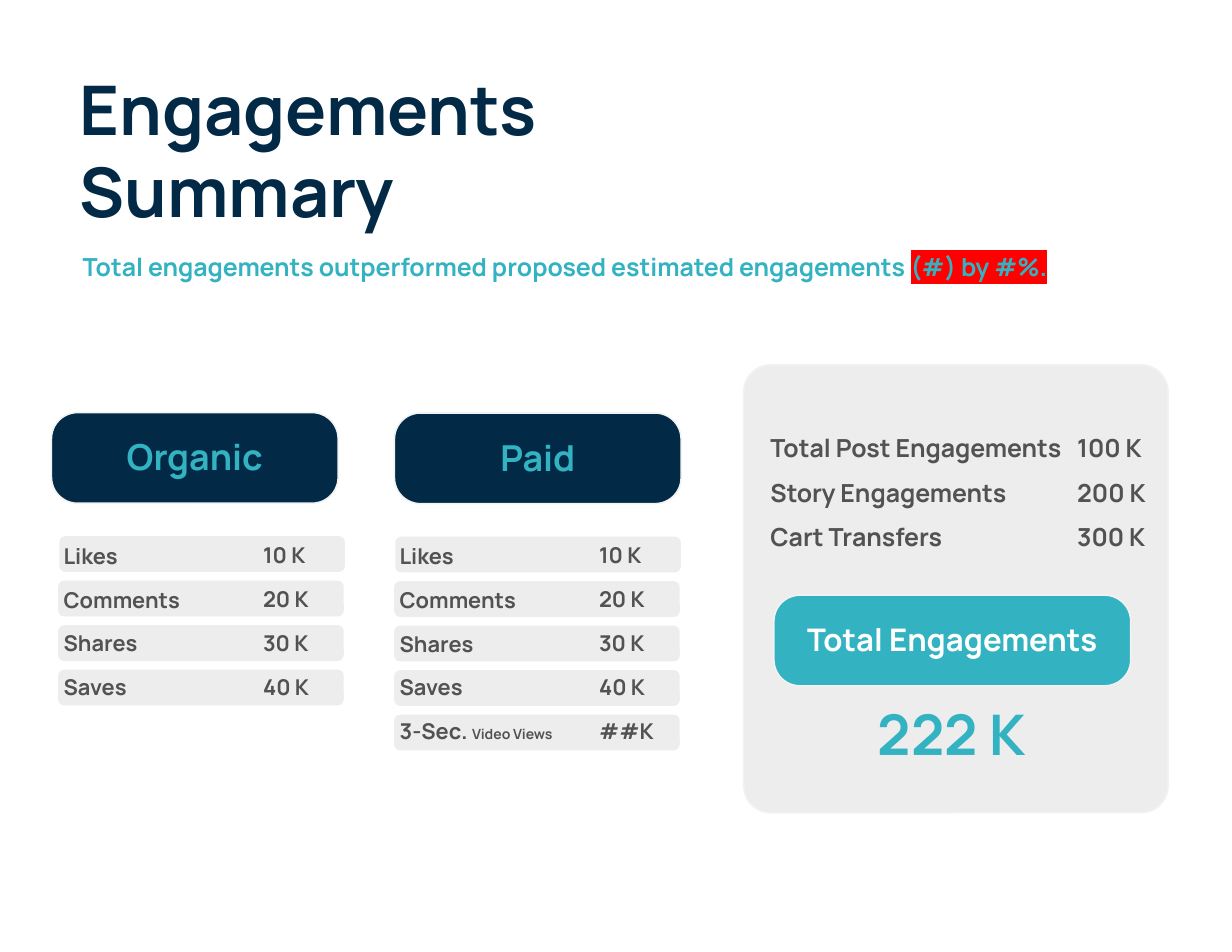
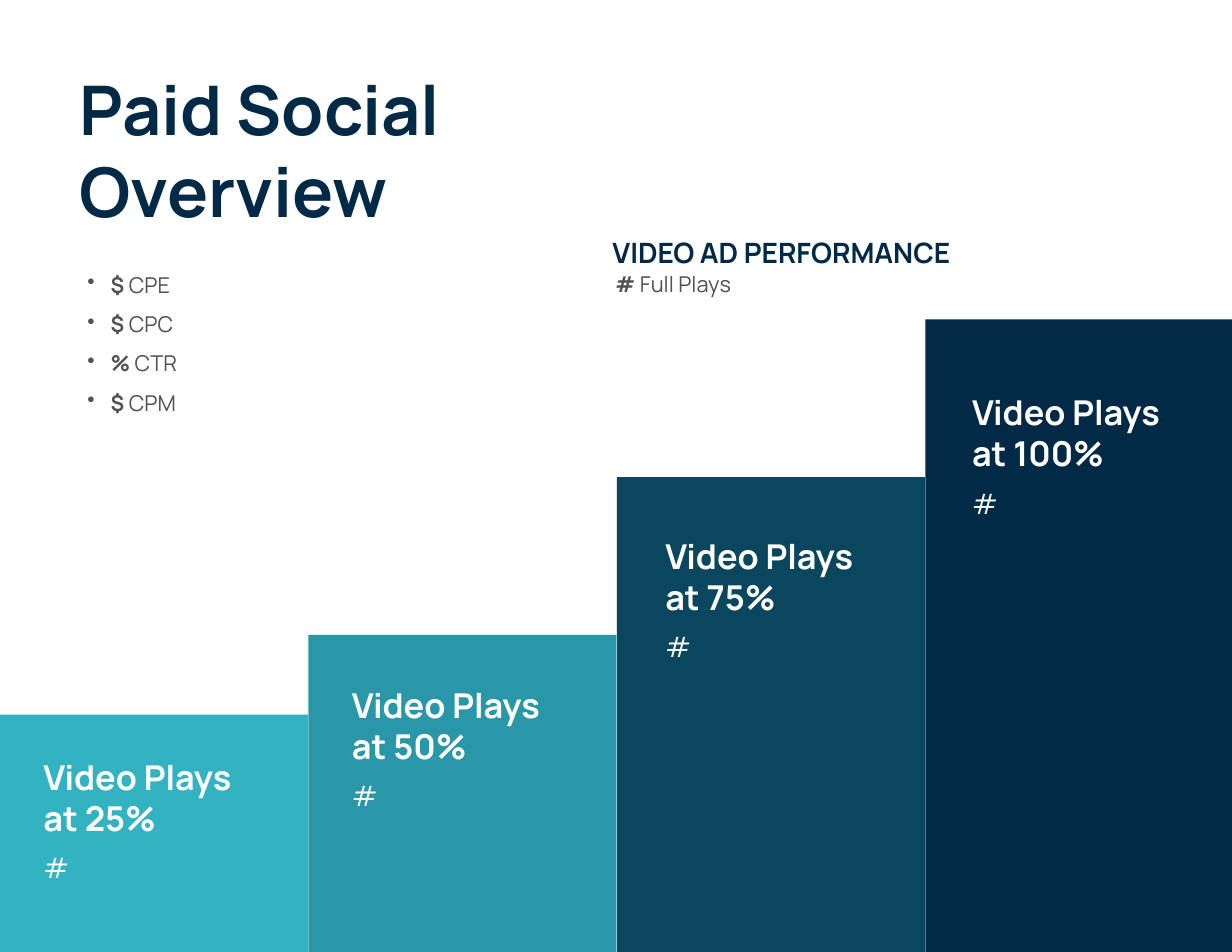
from lxml import etree
from pptx import Presentation
from pptx import util as u
from pptx.dml.color import RGBColor
from pptx.enum import shapes, text
from pptx.oxml import ns

HUES = {
    "navy": "022A47", "deep": "0A475F", "sea": "2997A8", "teal": "33B2C1",
    "gray": "525252", "pale": "EDEDED", "edge": "F2F2F2", "white": "FFFFFF",
    "red": "FF0000",
}
FONT = "Manrope"
KIND = shapes.MSO_SHAPE
MID = text.PP_ALIGN.CENTER


def hue(name):
    return RGBColor.from_string(HUES[name])


class Deck:
    def __init__(self):
        self.prs = Presentation()
        self.prs.slide_width, self.prs.slide_height = u.Pt(792), u.Pt(612)
        self.slide = None

    def page(self, title):
        self.slide = self.prs.slides.add_slide(self.prs.slide_layouts[6])
        self.text(44, 39.6, 435, 114, title, 44, "navy")

    def box(self, x, y, w, h, fill, edge=None, bend=None, kind=KIND.ROUNDED_RECTANGLE):
        shape = self.slide.shapes.add_shape(kind, u.Pt(x), u.Pt(y), u.Pt(w), u.Pt(h))
        shape.shadow.inherit = False
        shape.fill.solid()
        shape.fill.fore_color.rgb = hue(fill)
        if bend:
            shape.adjustments[0] = bend
        if edge:
            shape.line.color.rgb = hue(edge)
            shape.line.width = u.Pt(1)
        else:
            shape.line.fill.background()

    def text(self, x, y, w, h, lines, size, color, bold=True, align=None,
             space=None, gaps=None, inset=True, bullet=False):
        """Each line is a string or a list of (words, changes) runs."""
        box = self.slide.shapes.add_textbox(u.Pt(x), u.Pt(y), u.Pt(w), u.Pt(h))
        frame = box.text_frame
        frame.word_wrap = True
        frame.auto_size = text.MSO_AUTO_SIZE.SHAPE_TO_FIT_TEXT
        if not inset:
            frame.margin_left = frame.margin_right = 0
            frame.margin_top = frame.margin_bottom = 0
        for i, line in enumerate(lines):
            para = frame.add_paragraph() if i else frame.paragraphs[0]
            para.alignment = align
            if space:
                para.line_spacing = space
            if gaps:
                para.space_before, para.space_after = map(u.Pt, gaps)
            if bullet:
                self.bullet(para)
            for words, changes in [(line, {})] if isinstance(line, str) else line:
                self.run(para, words, **{"size": size, "color": color, "bold": bold, **changes})

    def run(self, para, words, size, color, bold, mark=None):
        run = para.add_run()
        run.text = words
        font = run.font
        font.name, font.size, font.bold = FONT, u.Pt(size), bold
        font.color.rgb = hue(color)
        if mark:
            light = etree.Element(ns.qn("a:highlight"))
            etree.SubElement(light, ns.qn("a:srgbClr"), val=HUES[mark])
            font.fill  # the highlight must follow the fill
            run._r.rPr.find(ns.qn("a:solidFill")).addnext(light)

    def bullet(self, para):
        props = para._p.get_or_add_pPr()
        props.set("marL", str(u.Pt(15)))
        props.set("indent", str(u.Pt(-15)))
        etree.SubElement(props, ns.qn("a:buChar"), char="•")

    def pill(self, x, y, w, fill, words, size, color, drop):
        self.box(x, y, w, 58.3, fill, "edge", 0.288)
        self.text(x + 12, y + drop, w - 24, 36, [words], size, color, align=MID)

    def column(self, x, head, top, name, rows):
        """A pill above grey bars, with labels left and counts right."""
        self.pill(head, top, 184.3, "navy", name, 23, "teal", 11)
        for i in range(len(rows)):
            nudge = 0 if i else 0.7
            self.box(x + 3.6 + nudge, top + 79.5 + i * 28.6, 183.6, 23, "pale")
        labels, counts = zip(*rows)
        tall = len(rows) * 28.6
        style = {"size": 14, "color": "gray", "gaps": (5.2, 6.2)}
        self.text(x, 345.2, 143, tall, labels, **style)
        self.text(x + 128.2, 344.9, 71, tall, counts, **style)

    def step(self, i, top, fill, x, y, share):
        self.box(i * 198.3, top, 198, 612 - top, fill, kind=KIND.RECTANGLE)
        self.text(x, y, 153.4, 60.5, ["Video Plays", f"at {share}%"], 22, "white")
        self.text(x, y + 60.7, 153.4, 29, ["#"], 18, "white", bold=False)


def engage(deck):
    deck.page(["Engagements", "Summary"])
    deck.text(46.1, 158.4, 705.6, 26.6, [[
        ("Total engagements outperformed proposed estimated engagements ", {}),
        ("(#) by #%.", {"mark": "red"})]], 16, "teal")

    # Organic and paid columns
    rows = [("Likes", "10 K"), ("Comments", "20 K"), ("Shares", "30 K"), ("Saves", "40 K")]
    views = [("3-Sec. ", {}), ("Video Views", {"size": 9})]
    deck.column(33.8, 33.1, 265.2, "Organic", rows)
    deck.column(249.8, 253.6, 265.5, "Paid", rows + [(views, "##K")])

    # Totals panel
    deck.box(478.1, 234.5, 272.9, 288, "pale", "edge", 0.064)
    names = ["Total Post Engagements", "Story Engagements", "Cart Transfers"]
    deck.text(488.2, 265, 205.2, 91.4, names, 16, "gray", space=1.5)
    deck.text(685.4, 265, 71.3, 91.4, ["100 K", "200 K", "300 K"], 16, "gray", space=1.5)
    deck.pill(497.5, 382.6, 229.4, "teal", "Total Engagements", 20, "white", 12.7)
    deck.text(522.5, 446.4, 178.6, 51, ["222 K"], 36, "teal", align=MID)


def social(deck):
    deck.page(["Paid Social", "Overview"])

    # Cost measures
    costs = [("$", "CPE"), ("$", "CPC"), ("%", "CTR"), ("$", "CPM")]
    deck.text(56.2, 166.3, 124.6, 123, [
        [(sign, {}), (f" {name}", {"bold": False})] for sign, name in costs
    ], 14, "gray", space=1.5, inset=False, bullet=True)

    # Video heading
    deck.text(386.6, 136.8, 253.4, 36, ["VIDEO AD PERFORMANCE"], 18, "navy", space=1.5)
    deck.text(395.5, 174.2, 124.6, 17.3, [
        [("# ", {}), ("Full Plays", {"bold": False})]], 14, "gray", inset=False)

    # Rising steps
    steps = [(459.4, "teal", 20.9, 482.4), (408.2, "sea", 219.2, 436.2),
             (306.7, "deep", 420.6, 340.4), (205.4, "navy", 617.8, 248.2)]
    for i, (top, fill, x, y) in enumerate(steps):
        deck.step(i, top, fill, x, y, 25 * (i + 1))


def main():
    deck = Deck()
    engage(deck)
    social(deck)
    deck.prs.save("out.pptx")


if __name__ == "__main__":
    main()
